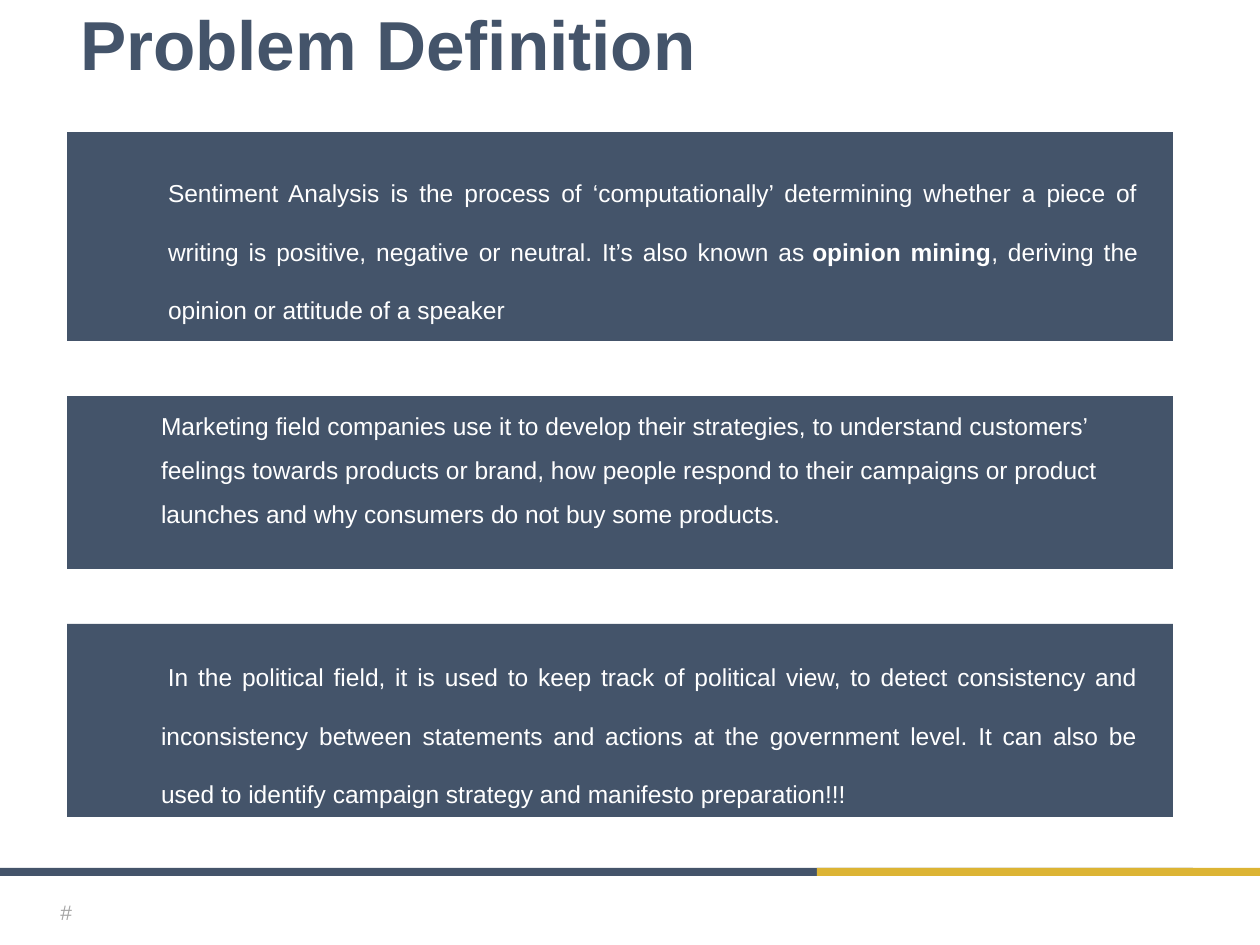
from pptx import Presentation
from pptx.dml.color import RGBColor
from pptx.enum.shapes import MSO_SHAPE
from pptx.enum.text import MSO_ANCHOR, PP_ALIGN
from pptx.util import Emu, Pt

SCALE = 914400 // 126
COLORS = {"slate": "44546A", "gold": "DCB434", "gray": "A5A5A5", "white": "FFFFFF"}
PANEL_INSETS = (94, 6, 35, 6)


def px(value):
    return Emu(value * SCALE)


class SlideBuilder:
    font_name = "Arial"

    def __init__(self, page):
        self.page = page

    def bar(self, left, top, width, height, color):
        shape = self.page.shapes.add_shape(
            MSO_SHAPE.RECTANGLE, px(left), px(top), px(width), px(height))
        shape.shadow.inherit = False
        shape.fill.solid()
        shape.fill.fore_color.rgb = RGBColor.from_string(COLORS[color])
        shape.line.fill.background()
        return shape

    def set_text(self, shape, spans, size, color, insets, align=PP_ALIGN.LEFT,
                 anchor=MSO_ANCHOR.MIDDLE, spacing=1.0, bold=False):
        """Fill a shape with one paragraph; spans are (text, bold) pairs."""
        frame = shape.text_frame
        frame.word_wrap = True
        frame.vertical_anchor = anchor
        (frame.margin_left, frame.margin_top,
         frame.margin_right, frame.margin_bottom) = map(px, insets)
        para = frame.paragraphs[0]
        para.alignment = align
        para.line_spacing = spacing
        para.font.name = self.font_name
        para.font.size = Pt(size)
        para.font.bold = bold
        para.font.color.rgb = RGBColor.from_string(COLORS[color])
        for text, strong in spans:
            span = para.add_run()
            span.text = text
            if strong:
                span.font.bold = True
        return para

    def label(self, left, top, width, height, text, size, color, insets, **style):
        box = self.page.shapes.add_textbox(px(left), px(top), px(width), px(height))
        return self.set_text(box, [(text, False)], size, color, insets, **style)

    def panel(self, top, height, spans, insets=PANEL_INSETS, **style):
        shape = self.bar(67, top, 1106, height, "slate")
        return self.set_text(shape, spans, 14, "white", insets, **style)


deck = Presentation()
deck.slide_width, deck.slide_height = px(1260), px(945)
slide = SlideBuilder(deck.slides.add_slide(deck.slide_layouts[6]))

# Footer bars and slide number
slide.bar(0, 868, 1193, 8, "slate")
slide.bar(817, 868, 443, 8, "gold")
slide.label(28, 887, 50, 50, "#", 12, "gray", (13, 6, 6, 6), align=PP_ALIGN.RIGHT)

# Title
slide.label(67, 7, 1106, 83, "Problem Definition", 39.6, "slate", (13, 6, 13, 6),
            spacing=0.9, bold=True)

# Text panels
definition = slide.panel(132, 209, [
    ("Sentiment Analysis is the process of ‘computationally’ determining whether "
     "a piece of writing is positive, negative or neutral. It’s also known as\u00a0", False),
    ("opinion mining", True),
    (", deriving the opinion or attitude of a speaker", False),
], align=PP_ALIGN.JUSTIFY, spacing=2.0)
definition.space_before = Pt(10)
properties = definition._p.get_or_add_pPr()
properties.set("marL", str(px(7)))
properties.set("indent", "0")

slide.panel(396, 173, [
    ("Marketing field companies use it to develop their strategies, to understand "
     "customers’ feelings towards products or brand, how people respond to their "
     "campaigns or product launches and why consumers do not buy some products.", False),
], insets=(94, 0, 35, 6), anchor=MSO_ANCHOR.TOP, spacing=1.5)

slide.panel(624, 193, [
    ("\u00a0In the political field, it is used to keep track of political view, to detect "
     "consistency and inconsistency between statements and actions at the government "
     "level. It can also be used to identify campaign strategy and manifesto "
     "preparation!!!", False),
], align=PP_ALIGN.JUSTIFY, spacing=2.0)

deck.save("out.pptx")
